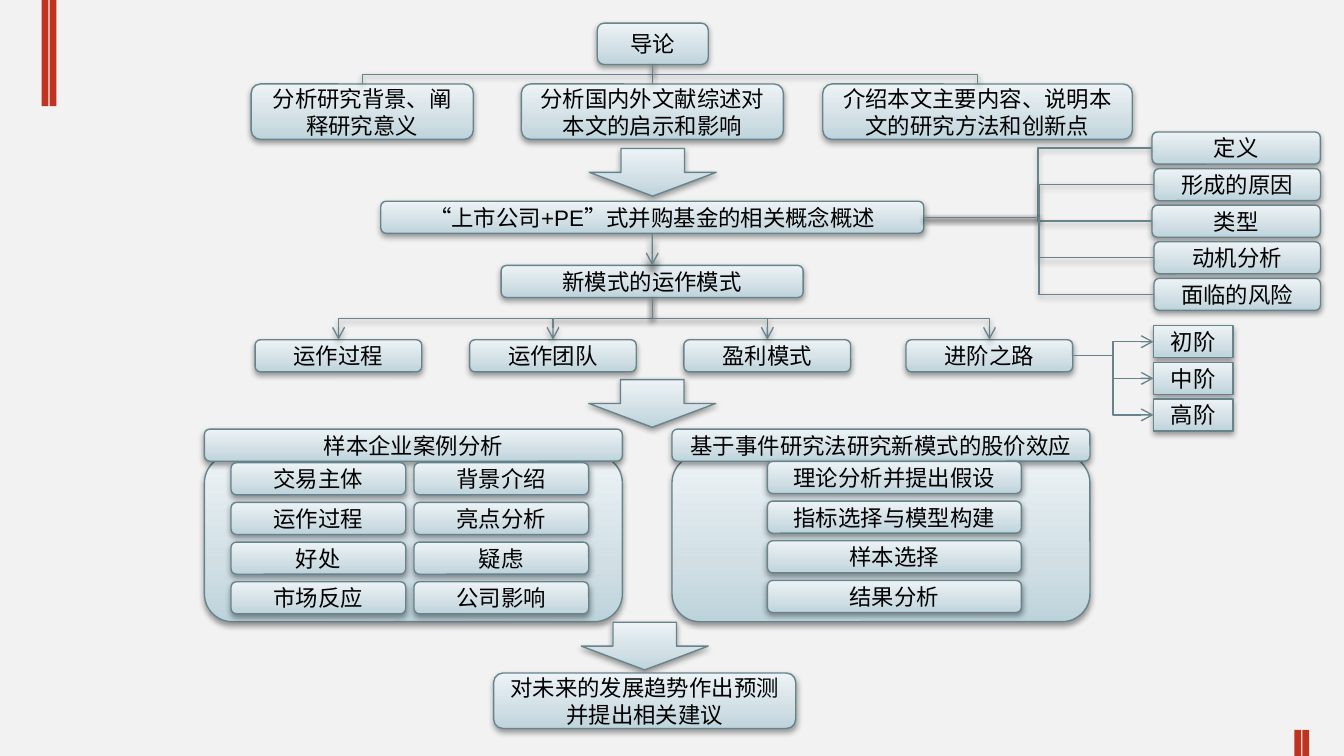
"""Build the thesis roadmap slide as a flow chart of linked nodes."""
from pptx import Presentation
from pptx.dml.color import RGBColor
from pptx.enum.shapes import MSO_CONNECTOR, MSO_SHAPE
from pptx.enum.text import MSO_ANCHOR, PP_ALIGN
from pptx.oxml import parse_xml
from pptx.oxml.ns import nsdecls, qn
from pptx.util import Pt

ROUND, RECT, ARROW = MSO_SHAPE.ROUNDED_RECTANGLE, MSO_SHAPE.RECTANGLE, MSO_SHAPE.DOWN_ARROW
ELBOW, STRAIGHT = MSO_CONNECTOR.ELBOW, MSO_CONNECTOR.STRAIGHT
MIDDLE, CENTER = MSO_ANCHOR.MIDDLE, PP_ALIGN.CENTER

COLORS = {
    "background": "F2F2F2", "stripe": "BF3420", "line": "67848D", "text": "000000",
    "bottom": "BDD3DB", "middle": "D1DFE5", "top": "EDF3F5", "shadow": "000000",
}
FRAME_FORMAT = {
    "word_wrap": True, "vertical_anchor": MIDDLE, "margin_left": Pt(7),
    "margin_right": Pt(7), "margin_top": 0, "margin_bottom": 0,
}
FONT_FORMAT = {"name": "Arial", "size": Pt(12)}
SOFT_SHADOW, STRONG_SHADOW = (3.15, 1.57, 38), (4, 4, 100)
GRADIENT = f"""<a:gradFill {nsdecls('a')} rotWithShape="1"><a:gsLst>
<a:gs pos="0"><a:srgbClr val="{COLORS['bottom']}"/></a:gs>
<a:gs pos="35000"><a:srgbClr val="{COLORS['middle']}"/></a:gs>
<a:gs pos="100000"><a:srgbClr val="{COLORS['top']}"/></a:gs>
</a:gsLst><a:lin ang="16200000" scaled="1"/></a:gradFill>"""
ROW = 17.2

prs = Presentation()
prs.slide_width, prs.slide_height = Pt(720), Pt(405)
slide = prs.slides.add_slide(prs.slide_layouts[6])
slide.background.fill.solid()
slide.background.fill.fore_color.rgb = RGBColor.from_string(COLORS["background"])


def add_node(left, top, width, height=ROW, text="", kind=ROUND):
    node = slide.shapes.add_shape(kind, Pt(left), Pt(top), Pt(width), Pt(height))
    node.element.spPr.append(parse_xml(GRADIENT))
    finish_outline(node, SOFT_SHADOW)
    if text:
        frame = node.text_frame
        for key, value in FRAME_FORMAT.items():
            setattr(frame, key, value)
        paragraph = frame.paragraphs[0]
        paragraph.text, paragraph.alignment = text, CENTER
        for key, value in FONT_FORMAT.items():
            setattr(paragraph.font, key, value)
        paragraph.font.color.rgb = RGBColor.from_string(COLORS["text"])
    return node


def finish_outline(item, shadow=None, arrow=False):
    item.line.color.rgb = RGBColor.from_string(COLORS["line"])
    item.line.width = Pt(0.75)
    properties = item.element.spPr
    if arrow:
        properties.find(qn("a:ln")).append(parse_xml(f'<a:tailEnd {nsdecls("a")} type="arrow"/>'))
    effects = parse_xml(f"<a:effectLst {nsdecls('a')}/>")
    if shadow:
        blur, distance, opacity = shadow
        effects.append(parse_xml(
            f'<a:outerShdw {nsdecls("a")} blurRad="{Pt(blur)}" dist="{Pt(distance)}" '
            f'dir="5400000" rotWithShape="0"><a:srgbClr val="{COLORS["shadow"]}">'
            f'<a:alpha val="{opacity * 1000}"/></a:srgbClr></a:outerShdw>'))
    properties.append(effects)


for left, top, height in [(22.3, 0, 56.9), (26.6, 0, 56.9), (693.4, 391, 14), (697.7, 391, 14)]:
    stripe = slide.shapes.add_shape(RECT, Pt(left), Pt(top), Pt(3.6), Pt(height))
    stripe.shadow.inherit = False
    stripe.fill.solid()
    stripe.fill.fore_color.rgb = RGBColor.from_string(COLORS["stripe"])
    stripe.line.fill.background()

for left, heading in [(109.5, "样本企业案例分析"), (360, "基于事件研究法研究新模式的股价效应")]:
    add_node(left, 243.8, 223.9, 89.3)
    add_node(left, 229.9, 223.9, text=heading)

columns = [
    (123.8, 247.9, 93.6, ["交易主体", "运作过程", "好处", "市场反应"]),
    (221.8, 247.9, 93.6, ["背景介绍", "亮点分析", "疑虑", "公司影响"]),
    (411.1, 247.2, 136.1, ["理论分析并提出假设", "指标选择与模型构建", "样本选择", "结果分析"]),
]
for left, top, width, topics in columns:
    for index, topic in enumerate(topics):
        add_node(left, top + 21.25 * index, width, text=topic)

for left, top in [(315.7, 79.6), (315.4, 203.4), (311.4, 333.4)]:
    add_node(left, top, 68, 25.5, kind=ARROW)

introduction = add_node(320, 12.4, 59.4, 22.2, "导论")
concept = add_node(204, 107.8, 290.9, text="“上市公司+PE”式并购基金的相关概念概述")
operation = add_node(268.5, 142.2, 161.8, text="新模式的运作模式")
add_node(264.5, 360.6, 161.8, 29.7, "对未来的发展趋势作出预测 并提出相关建议")

openings = [add_node(left, 45, width, 29.7, text) for left, width, text in [
    (134.6, 119, "分析研究背景、阐释研究意义"),
    (279.3, 140.4, "分析国内外文献综述对本文的启示和影响"),
    (440.8, 165.8, "介绍本文主要内容、说明本文的研究方法和创新点"),
]]
aspects = [add_node(left, 70.7 + 19.6 * index, 709 - left - 1.6, text=text)
           for index, (left, text) in enumerate([
               (617.2, "定义"), (618.2, "形成的原因"), (617.2, "类型"),
               (618.2, "动机分析"), (618.2, "面临的风险")])]
modes = [add_node(left, 182, 89.3, text=text) for left, text in [
    (136.7, "运作过程"), (251.6, "运作团队"), (366.4, "盈利模式"), (485.4, "进阶之路")]]
stages = [add_node(618, 174.5 + 19.6 * index, 42.6, text=text, kind=RECT)
          for index, text in enumerate(["初阶", "中阶", "高阶"])]

for parent, children, arrow in [(introduction, openings, False), (operation, modes, True)]:
    for child in children:
        start_x, start_y = parent.left + parent.width // 2, parent.top + parent.height
        end_x = child.left + child.width // 2
        half_drop, half_span = (child.top - start_y) // 2, abs(end_x - start_x) // 2
        middle_x, middle_y = (start_x + end_x) // 2, start_y + half_drop
        side, turn = (1, 270) if end_x > start_x else (-1, 90)
        branch = slide.shapes.add_connector(
            ELBOW, middle_x + side * half_drop, middle_y - half_span,
            middle_x - side * half_drop, middle_y + half_span)
        branch.element.spPr.find(qn("a:xfrm")).set("rot", str(turn * 60000))
        finish_outline(branch, SOFT_SHADOW, arrow)

for parent, children, shadow, arrow in [
        (concept, aspects, SOFT_SHADOW, False), (modes[-1], stages, None, True)]:
    for child in children:
        branch = slide.shapes.add_connector(
            ELBOW, parent.left + parent.width, parent.top + parent.height // 2,
            child.left, child.top + child.height // 2)
        finish_outline(branch, shadow, arrow)

step = slide.shapes.add_connector(STRAIGHT, Pt(349.4), Pt(125), Pt(349.4), Pt(142.2))
step.begin_connect(concept, 2)
step.end_connect(operation, 0)
finish_outline(step, STRONG_SHADOW, True)

prs.save("out.pptx")
